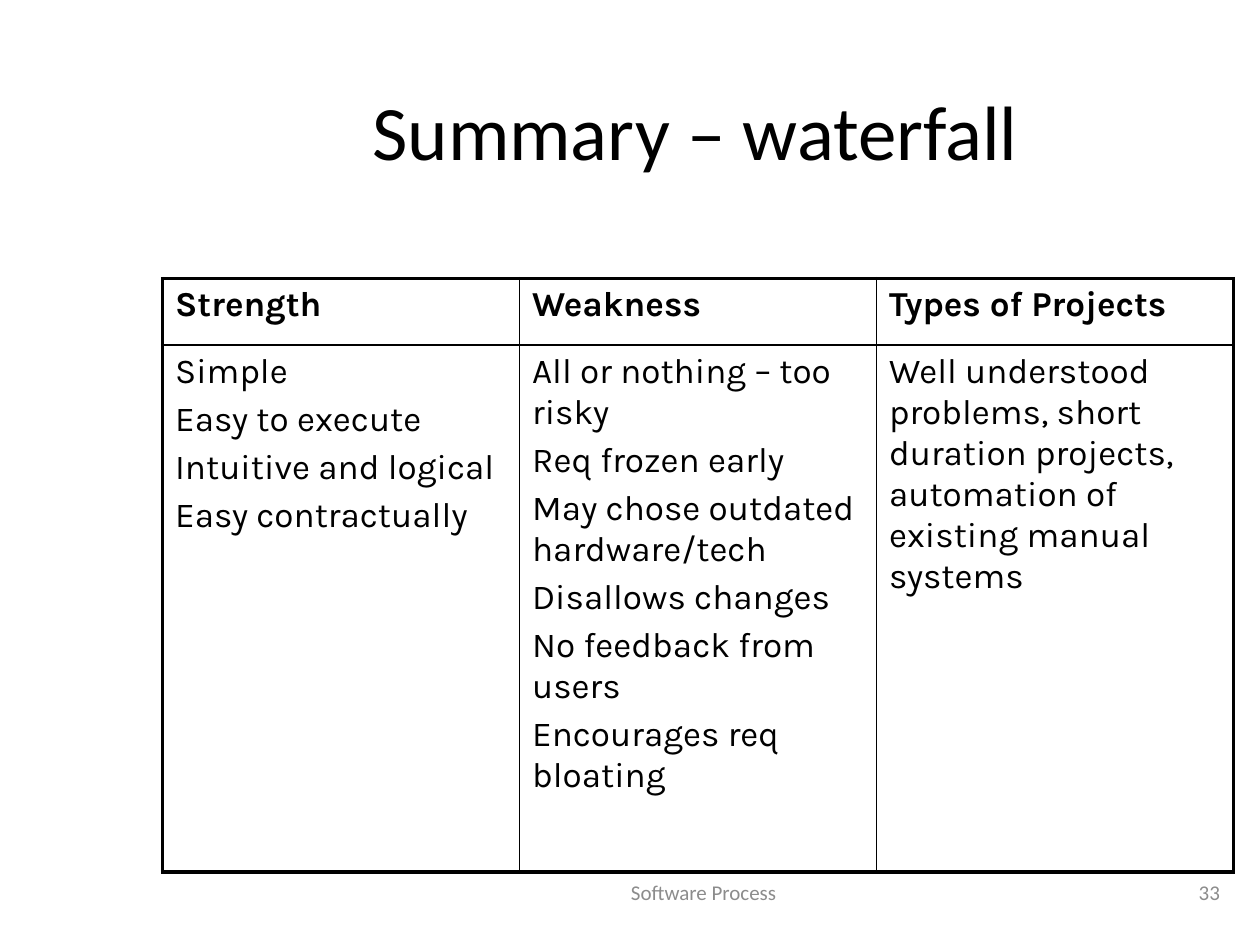
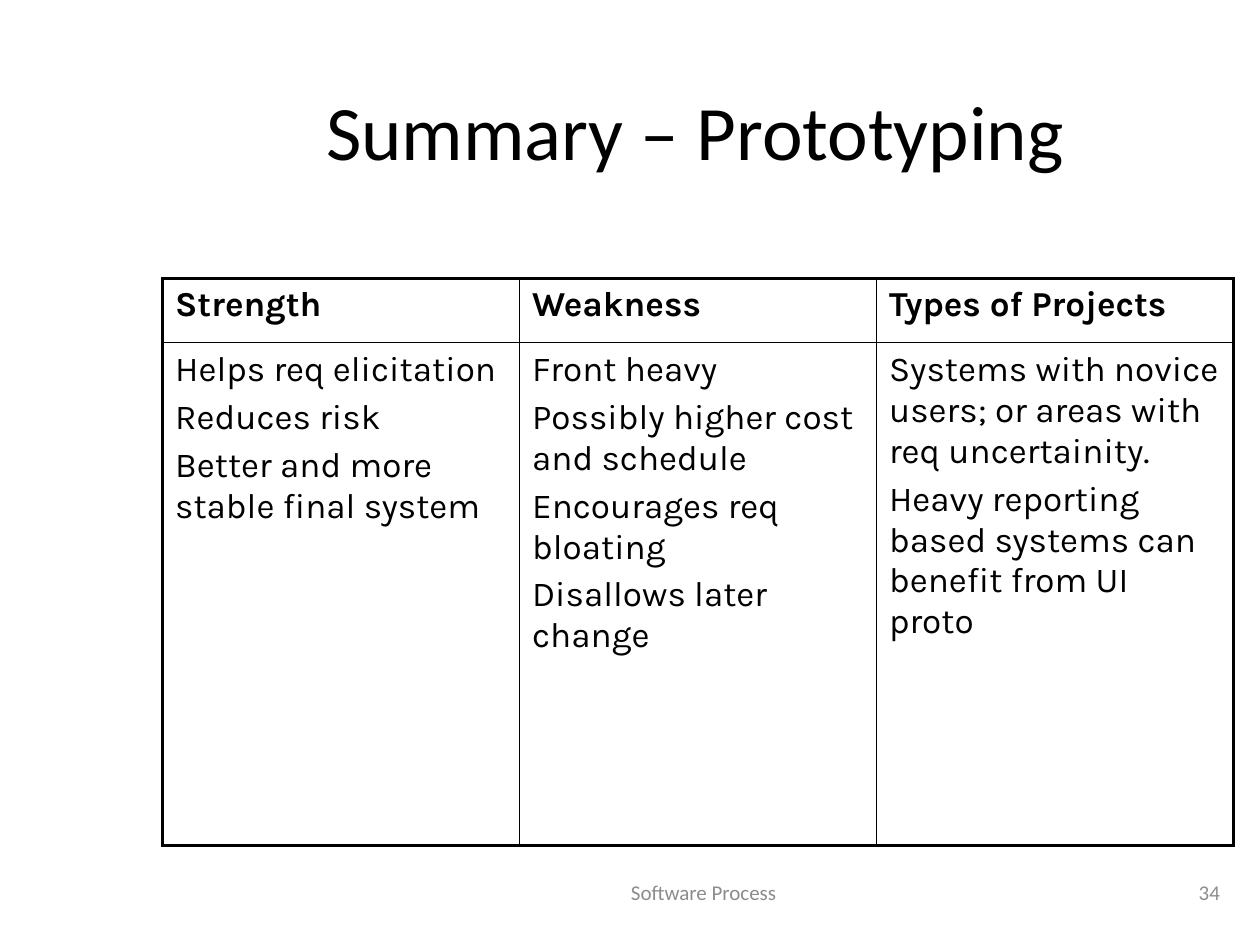
"""Builds two slides that sum up the waterfall and prototyping process models."""
from pptx import Presentation
from pptx import util as u
from pptx.dml.color import RGBColor
from pptx.enum import text
from pptx.oxml import parse_xml
from pptx.oxml.ns import nsdecls

BLACK = RGBColor(0, 0, 0)
GREY = RGBColor(0x8C, 0x8C, 0x8C)
ALIGN = text.PP_ALIGN
TITLE_FONT = dict(name="Calibri", size=u.Pt(44))
HEADING_FONT = dict(name="Karla", size=u.Pt(20), bold=True)
ENTRY_FONT = {**HEADING_FONT, "bold": False}
FOOTER_FONT = dict(name="Calibri", size=u.Pt(12))
OUTER, INNER = 2.25, 1
HEADINGS = ["Strength", "Weakness", "Types of Projects"]
FOOTER = "Software Process"
FIRST_NUMBER = 33

SUMMARIES = [
    ("Summary – waterfall", (0.53, 4.18), [
        ["Simple", "Easy to execute", "Intuitive and logical", "Easy contractually"],
        ["All or nothing – too risky", "Req frozen early",
         "May chose outdated hardware/tech", "Disallows changes",
         "No feedback from users", "Encourages req bloating"],
        ["Well understood problems, short duration projects, "
         "automation of existing manual systems"],
    ]),
    ("Summary – Prototyping", (0.51, 3.99), [
        ["Helps req elicitation", "Reduces risk", "Better and more stable final system"],
        ["Front heavy", "Possibly higher cost and schedule",
         "Encourages req bloating", "Disallows later change"],
        ["Systems with novice users; or areas with req uncertainity.",
         "Heavy reporting based systems can benefit from UI proto"],
    ]),
]


class Deck:
    """Holds the presentation, its style and the current slide."""

    def __init__(self):
        self.presentation = Presentation()
        self.presentation.slide_width = u.Inches(10)
        self.presentation.slide_height = u.Inches(7.5)
        self.slide = None

    def fill_text(self, frame, lines, font, color=BLACK, align=ALIGN.LEFT, before=0):
        """Fills a text frame with one formatted paragraph per line."""
        frame.word_wrap = True
        frame.text = "\n".join(lines)
        for paragraph in frame.paragraphs:
            paragraph.alignment = align
            paragraph.space_before = u.Pt(before)
            for key, value in font.items():
                setattr(paragraph.font, key, value)
            paragraph.font.color.rgb = color

    def start(self, title):
        """Adds a slide with its title."""
        self.slide = self.presentation.slides.add_slide(
            self.presentation.slide_layouts[5])
        heading = self.slide.shapes.title
        place = dict(left=1.26, top=0.23, width=8.52, height=1.6)
        for key, value in place.items():
            setattr(heading, key, u.Inches(value))
        heading.text_frame.vertical_anchor = text.MSO_ANCHOR.MIDDLE
        self.fill_text(heading.text_frame, [title], TITLE_FONT, align=ALIGN.CENTER)

    def border(self, cell, widths):
        """Draws the cell borders from a dict of side and width in points."""
        properties = cell._tc.get_or_add_tcPr()
        for side, width in widths.items():
            properties.append(parse_xml(
                f'<a:ln{side} {nsdecls("a")} w="{u.Pt(width)}"><a:solidFill>'
                f'<a:srgbClr val="{BLACK}"/></a:solidFill></a:ln{side}>'))

    def table(self, heights, columns):
        """Adds the comparison table with a heading above each column."""
        last = len(columns) - 1
        grid = self.slide.shapes.add_table(
            2, len(columns), u.Inches(1.29), u.Inches(2.21),
            u.Inches(8.5), u.Inches(sum(heights))).table
        grid.first_row = grid.horz_banding = False
        for row, height in zip(grid.rows, heights):
            row.height = u.Inches(height)
        for column, (heading, entries) in enumerate(zip(HEADINGS, columns)):
            for row, (lines, font) in enumerate(
                    [([heading], HEADING_FONT), (entries, ENTRY_FONT)]):
                cell = grid.cell(row, column)
                self.fill_text(cell.text_frame, lines, font, before=4)
                self.border(cell, {
                    "L": OUTER if column == 0 else INNER,
                    "R": OUTER if column == last else INNER,
                    "T": OUTER if row == 0 else INNER,
                    "B": OUTER if row == 1 else INNER})
                cell.fill.background()

    def footer(self, left, width, words, align):
        """Adds one grey footer text."""
        box = self.slide.shapes.add_textbox(
            u.Inches(left), u.Inches(6.83), u.Inches(width), u.Inches(0.5))
        box.text_frame.vertical_anchor = text.MSO_ANCHOR.MIDDLE
        self.fill_text(box.text_frame, [words], FOOTER_FONT, GREY, align)


def main():
    """Builds and saves the deck."""
    deck = Deck()
    for number, (title, heights, columns) in enumerate(SUMMARIES, FIRST_NUMBER):
        deck.start(title)
        deck.table(heights, columns)
        deck.footer(4, 3.17, FOOTER, ALIGN.CENTER)
        deck.footer(7.7, 2.08, str(number), ALIGN.RIGHT)
    deck.presentation.save("out.pptx")


if __name__ == "__main__":
    main()
